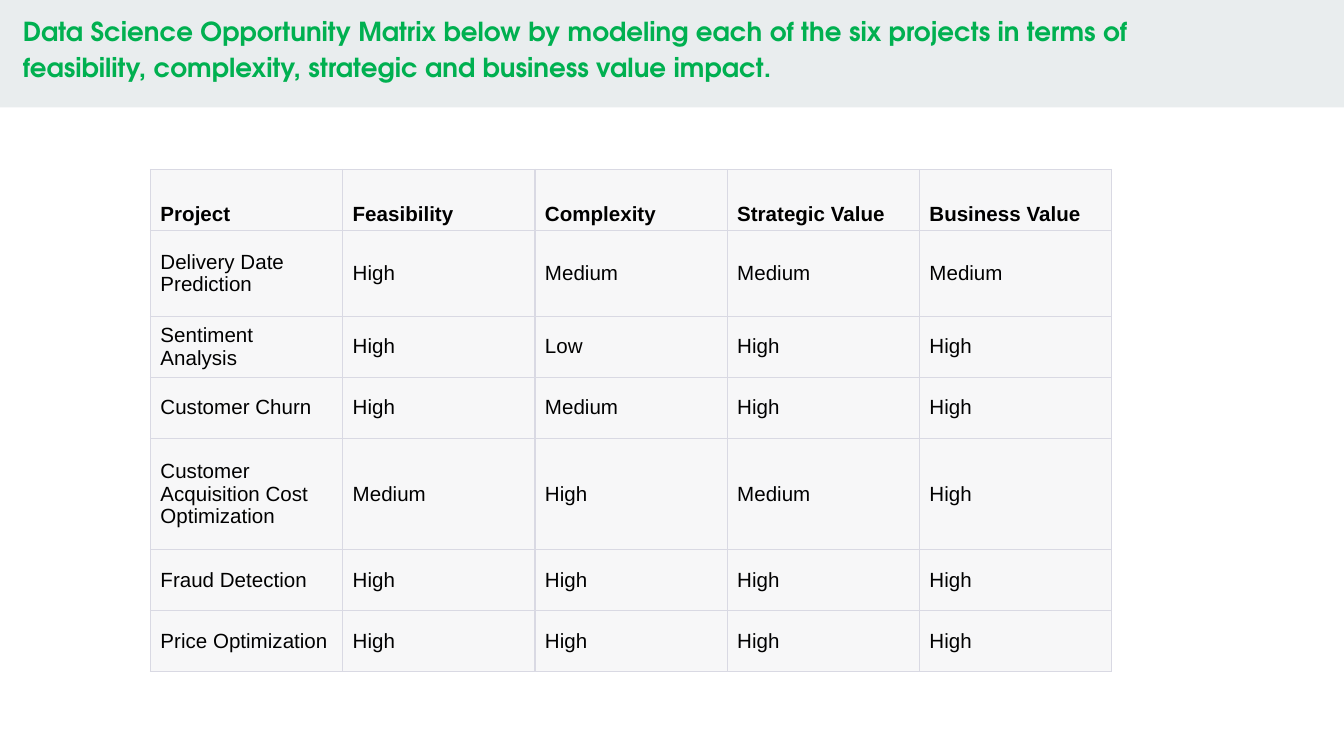
"""Build a slide with a matrix that rates data science projects."""
from lxml.etree import SubElement
from pptx import Presentation
from pptx.dml.color import RGBColor
from pptx.enum.shapes import MSO_SHAPE
from pptx.enum.text import MSO_ANCHOR, MSO_AUTO_SIZE, PP_ALIGN
from pptx.oxml.ns import qn
from pptx.util import Pt

TITLE = (
    "Data Science Opportunity Matrix below by modeling each of the six projects "
    "in terms of feasibility, complexity, strategic and business value impact."
)
MATRIX = [
    ("Project", "Feasibility", "Complexity", "Strategic Value", "Business Value"),
    ("Delivery Date Prediction", "High", "Medium", "Medium", "Medium"),
    ("Sentiment Analysis", "High", "Low", "High", "High"),
    ("Customer Churn", "High", "Medium", "High", "High"),
    ("Customer Acquisition Cost Optimization", "Medium", "High", "Medium", "High"),
    ("Fraud Detection", "High", "High", "High", "High"),
    ("Price Optimization", "High", "High", "High", "High"),
]
ROW_HEIGHT = 32.7
ROW_HEIGHTS = [ROW_HEIGHT, 46, ROW_HEIGHT, ROW_HEIGHT, 59.5, ROW_HEIGHT, ROW_HEIGHT]
COLUMN_WIDTH = 103


def color(hex_string):
    return RGBColor.from_string(hex_string)


class MatrixSlide:
    title_font, title_size, title_color = "TeX Gyre Adventor", 14, "00B050"
    body_font, body_size, body_color = "Arial", 11, "000000"
    band_fill, cell_fill, border_color = "E9EDEE", "F7F7F8", "D9D9E3"

    def __init__(self, slide):
        self.slide = slide

    def format_runs(self, paragraph, font_name, size, hex_string, bold):
        for run in paragraph.runs:
            run.font.name = font_name
            run.font.size = Pt(size)
            run.font.color.rgb = color(hex_string)
            run.font.bold = bold

    def add_title(self, text, left, top, width, height):
        title = self.slide.shapes.title
        title.left, title.top = Pt(left), Pt(top)
        title.width, title.height = Pt(width), Pt(height)
        frame = title.text_frame
        frame.text = text
        frame.word_wrap = True
        frame.auto_size = MSO_AUTO_SIZE.NONE
        frame.vertical_anchor = MSO_ANCHOR.TOP
        frame.margin_left = frame.margin_right = Pt(7.2)
        frame.margin_top = frame.margin_bottom = Pt(7.2)
        paragraph = frame.paragraphs[0]
        paragraph.alignment = PP_ALIGN.LEFT
        paragraph.line_spacing = 1.15
        self.format_runs(paragraph, self.title_font, self.title_size, self.title_color, True)

    def add_title_band(self, width, height):
        band = self.slide.shapes.add_shape(MSO_SHAPE.RECTANGLE, 0, 0, Pt(width), Pt(height))
        band.shadow.inherit = False
        band.fill.solid()
        band.fill.fore_color.rgb = color(self.band_fill)
        band.line.fill.background()
        self.slide.shapes.title.element.addprevious(band.element)

    def add_matrix(self, rows, row_heights, column_width, left, top):
        column_count = len(rows[0])
        table = self.slide.shapes.add_table(
            len(rows), column_count, Pt(left), Pt(top),
            Pt(column_width * column_count), Pt(sum(row_heights)),
        ).table
        table.first_row = table.horz_banding = False
        for column in table.columns:
            column.width = Pt(column_width)
        last = len(rows) - 1
        for index, (texts, height) in enumerate(zip(rows, row_heights)):
            table.rows[index].height = Pt(height)
            top_border = 0.75 if index == 0 else 1
            bottom_border = 0.75 if index == last else 1
            for cell, text in zip(table.rows[index].cells, texts):
                self.format_cell(cell, text, index == 0, top_border, bottom_border)

    def format_cell(self, cell, text, is_header, top_border, bottom_border):
        cell.text_frame.text = text
        cell.vertical_anchor = MSO_ANCHOR.BOTTOM if is_header else MSO_ANCHOR.MIDDLE
        cell.margin_left = cell.margin_right = Pt(5.4)
        cell.margin_top = cell.margin_bottom = Pt(2.7)
        self.format_runs(
            cell.text_frame.paragraphs[0],
            self.body_font, self.body_size, self.body_color, is_header,
        )
        self.add_borders(cell, {"L": 0.75, "R": 0.75, "T": top_border, "B": bottom_border})
        cell.fill.solid()
        cell.fill.fore_color.rgb = color(self.cell_fill)

    def add_borders(self, cell, widths):
        properties = cell._tc.get_or_add_tcPr()
        for side, width in widths.items():
            line = SubElement(properties, qn(f"a:ln{side}"), w=str(Pt(width)))
            fill = SubElement(line, qn("a:solidFill"))
            SubElement(fill, qn("a:srgbClr"), val=self.border_color)


def main():
    presentation = Presentation()
    presentation.slide_width, presentation.slide_height = Pt(720), Pt(405)
    slide = presentation.slides.add_slide(presentation.slide_layouts.get_by_name("Title Only"))
    matrix_slide = MatrixSlide(slide)
    matrix_slide.add_title(TITLE, 5, -1.5, 608, 61)
    matrix_slide.add_title_band(720, 57.6)
    matrix_slide.add_matrix(MATRIX, ROW_HEIGHTS, COLUMN_WIDTH, 80.6, 90.8)
    presentation.save("out.pptx")


if __name__ == "__main__":
    main()
